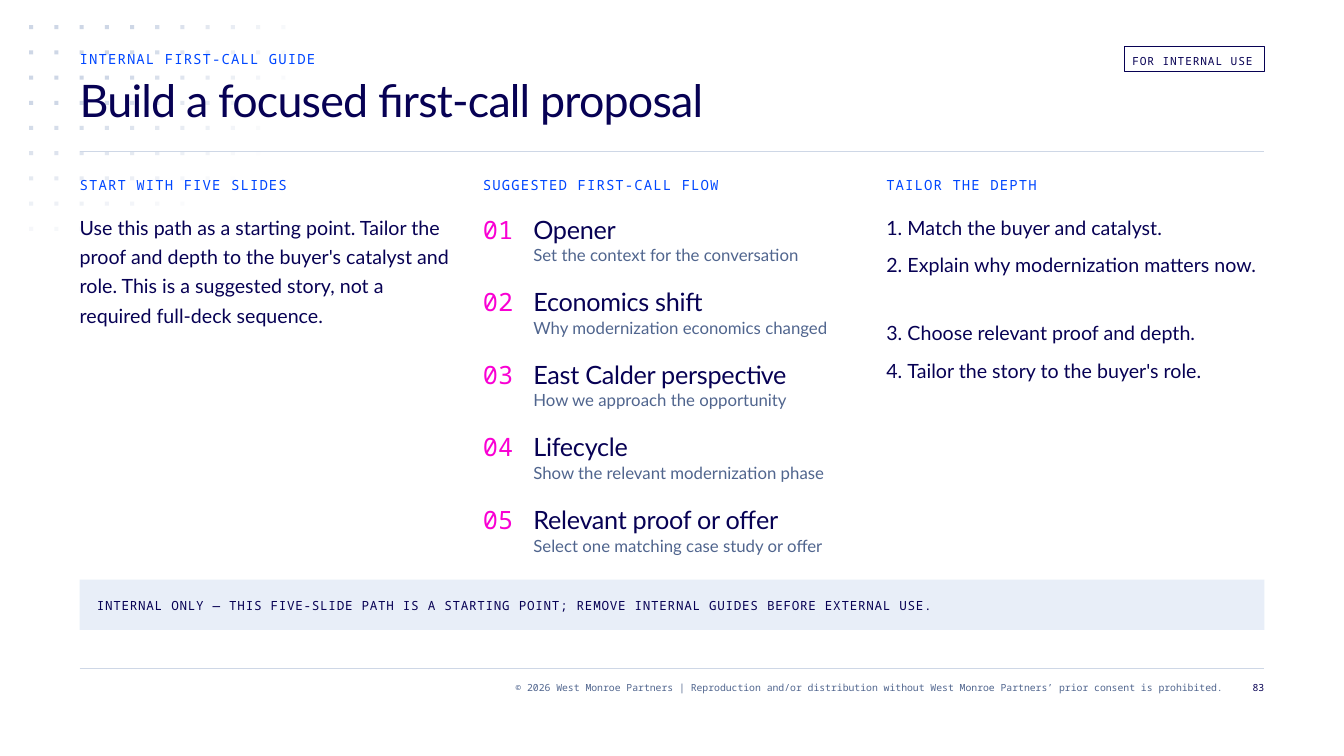
"""Build the internal first-call guide slide."""
import dataclasses
import math

import lxml.etree
import pptx
import pptx.dml.color
import pptx.enum.shapes
import pptx.enum.text
import pptx.oxml.ns
import pptx.util

Inches = pptx.util.Inches
Pt = pptx.util.Pt
ALIGN = pptx.enum.text.PP_ALIGN
ANCHOR = pptx.enum.text.MSO_ANCHOR
qn = pptx.oxml.ns.qn

SANS, MONO = "Lato", "Noto Sans Mono"
NAVY, BLUE, PINK, SLATE = "070154", "0047FF", "F900D3", "50658E"
MIST, PALE = "CED7E6", "E8EEF8"
LEFT, WIDE, COL, PITCH = 0.79, 11.75, 3.75, 4


@dataclasses.dataclass(frozen=True)
class Style:
    size: float
    font: str
    color: str
    lead: float
    track: float = 0


@dataclasses.dataclass(frozen=True)
class Label:
    left: float
    top: float
    width: float
    height: float
    text: str
    style: Style
    align: ALIGN = ALIGN.LEFT


@dataclasses.dataclass(frozen=True)
class Step:
    name: str
    note: str


@dataclasses.dataclass(frozen=True)
class Task:
    text: str
    gap: float


HEAD = Style(32, SANS, NAVY, 36, -0.6)
KICK = Style(10, MONO, BLUE, 12, 0.8)
BODY = Style(14, SANS, NAVY, 21)
COUNT = Style(18, MONO, PINK, 24)
NAME = Style(18, SANS, NAVY, 24, -0.2)
NOTE = Style(12, SANS, SLATE, 18)
LEGAL = Style(7, MONO, SLATE, 9)
PAGE = Style(7, MONO, NAVY, 9)
ALERT = Style(9, MONO, NAVY, 12, 0.5)
BADGE = Style(8, MONO, NAVY, 12, 0.6)

LABELS = [
    Label(2.38, 6.75, 9.75, 0.25, "© 2026 West Monroe Partners | Reproduction and/or distribution "
          "without West Monroe Partners’ prior consent is prohibited.", LEGAL, ALIGN.RIGHT),
    Label(12.21, 6.75, 0.33, 0.25, "83", PAGE, ALIGN.RIGHT),
    Label(LEFT, 0.5, 9.25, 0.17, "INTERNAL FIRST-CALL GUIDE", KICK),
    Label(LEFT, 2.08, COL, 1.17, "Use this path as a starting point. Tailor the proof and depth to "
          "the buyer's catalyst and role. This is a suggested story, not a required full-deck "
          "sequence.", BODY),
]
HEADS = ["START WITH FIVE SLIDES", "SUGGESTED FIRST-CALL FLOW", "TAILOR THE DEPTH"]
STEPS = [
    Step("Opener", "Set the context for the conversation"),
    Step("Economics shift", "Why modernization economics changed"),
    Step("East Calder perspective", "How we approach the opportunity"),
    Step("Lifecycle", "Show the relevant modernization phase"),
    Step("Relevant proof or offer", "Select one matching case study or offer"),
]
TASKS = [
    Task("Match the buyer and catalyst.", 0),
    Task("Explain why modernization matters now.", 6),
    Task("Choose relevant proof and depth.", 27),
    Task("Tailor the story to the buyer's role.", 6),
]


def tint(code: str) -> pptx.dml.color.RGBColor:
    """Turn a hex string into a colour."""
    return pptx.dml.color.RGBColor.from_string(code)


def place(shape, left: float, top: float, width: float, height: float) -> None:
    """Move and size a shape in inches."""
    shape.left, shape.top = Inches(left), Inches(top)
    shape.width, shape.height = Inches(width), Inches(height)


def frame(shape, inset: float = 0, anchor: ANCHOR = ANCHOR.TOP):
    """Clear margins and return the text frame."""
    box = shape.text_frame
    box.margin_left = Inches(inset)
    box.margin_top = box.margin_right = box.margin_bottom = 0
    box.word_wrap = True
    box.auto_size = pptx.enum.text.MSO_AUTO_SIZE.NONE
    box.vertical_anchor = anchor
    return box


def write(para, text: str, style: Style, align: ALIGN = ALIGN.LEFT, gap: float = 0) -> None:
    """Add one styled run to a paragraph."""
    para.alignment = align
    para.line_spacing = Pt(style.lead)
    para.space_before = Pt(gap)
    run = para.add_run()
    run.text = text
    run.font.size = Pt(style.size)
    run.font.name = style.font
    run.font.color.rgb = tint(style.color)
    if style.track:
        run.font._element.set("spc", str(round(style.track * 100)))


def label(slide, item: Label) -> None:
    """Draw a text box."""
    shape = slide.shapes.add_textbox(0, 0, 0, 0)
    place(shape, item.left, item.top, item.width, item.height)
    write(frame(shape).paragraphs[0], item.text, item.style, item.align)


def block(slide, left: float, top: float, width: float, height: float, fill: str = "", edge: str = ""):
    """Draw a rectangle with an optional fill and edge."""
    shape = slide.shapes.add_shape(pptx.enum.shapes.MSO_SHAPE.RECTANGLE, 0, 0, 0, 0)
    place(shape, left, top, width, height)
    shape.shadow.inherit = False
    if fill:
        shape.fill.solid()
        shape.fill.fore_color.rgb = tint(fill)
    else:
        shape.fill.background()
    if edge:
        shape.line.color.rgb = tint(edge)
        shape.line.width = Pt(0.75)
    else:
        shape.line.fill.background()
    return shape


def rule(slide, top: float) -> None:
    """Draw a full-width hairline."""
    line = slide.shapes.add_connector(
        pptx.enum.shapes.MSO_CONNECTOR.STRAIGHT,
        Inches(LEFT), Inches(top), Inches(LEFT + WIDE), Inches(top))
    line.line.color.rgb = tint(MIST)
    line.line.width = Pt(0.75)
    lxml.etree.SubElement(line._element.spPr, qn("a:effectLst"))


def dots(slide) -> None:
    """Draw the corner dots, fading along an ellipse."""
    for col in range(11):
        for row in range(9):
            alpha = min(100, round(153 * (1 - math.hypot(col / 11.08, row / 9.07))))
            if alpha < 2:
                continue
            dot = block(slide, 0.29 + col * 0.25, 0.25 + row * 0.25, 0.04, 0.04, MIST)
            if alpha < 100:
                color = dot._element.spPr.find(qn("a:solidFill"))[0]
                lxml.etree.SubElement(color, qn("a:alpha"), val=str(alpha * 1000))


def tasks(shape) -> None:
    """Fill the body placeholder with the numbered list."""
    place(shape, LEFT + 2 * PITCH, 2.08, COL, 1.71)
    box = frame(shape)
    for index, task in enumerate(TASKS):
        para = box.add_paragraph() if index else box.paragraphs[0]
        write(para, task.text, BODY, gap=task.gap)
        props = para._p.get_or_add_pPr()
        props.set("marL", str(Inches(0.21)))
        props.set("indent", str(-Inches(0.21)))
        lxml.etree.SubElement(props, qn("a:buFont"), typeface=SANS)
        lxml.etree.SubElement(props, qn("a:buAutoNum"), type="arabicPeriod")


def main() -> None:
    """Assemble and save the slide."""
    deck = pptx.Presentation()
    deck.slide_width, deck.slide_height = Inches(13.33), Inches(7.5)
    slide = deck.slides.add_slide(deck.slide_layouts[1])
    dots(slide)
    for top in (1.5, 6.63):
        rule(slide, top)
    title, body = slide.placeholders
    for holder in (title, body):
        slide.shapes._spTree.append(holder._element)
    place(title, LEFT, 0.75, WIDE, 0.75)
    write(frame(title).paragraphs[0], "Build a focused first-call proposal", HEAD)
    tasks(body)
    for item in LABELS:
        label(slide, item)
    for index, text in enumerate(HEADS):
        label(slide, Label(LEFT + index * PITCH, 1.75, COL, 0.17, text, KICK))
    for index, step in enumerate(STEPS):
        top = 2.09 + index * 0.72
        label(slide, Label(4.79, top, 0.42, 0.33, f"{index + 1:02}", COUNT))
        label(slide, Label(5.29, top, 3.25, 0.33, step.name, NAME))
        label(slide, Label(5.29, top + 0.29, 3.25, 0.25, step.note, NOTE))
    alert = block(slide, LEFT, 5.75, WIDE, 0.5, PALE)
    write(frame(alert, 0.17, ANCHOR.MIDDLE).paragraphs[0], "INTERNAL ONLY — THIS FIVE-SLIDE PATH IS A "
          "STARTING POINT; REMOVE INTERNAL GUIDES BEFORE EXTERNAL USE.", ALERT)
    badge = block(slide, 11.15, 0.46, 1.39, 0.25, edge=NAVY)
    write(frame(badge, 0.08, ANCHOR.MIDDLE).paragraphs[0], "FOR INTERNAL USE", BADGE)
    deck.save("out.pptx")


if __name__ == "__main__":
    main()
